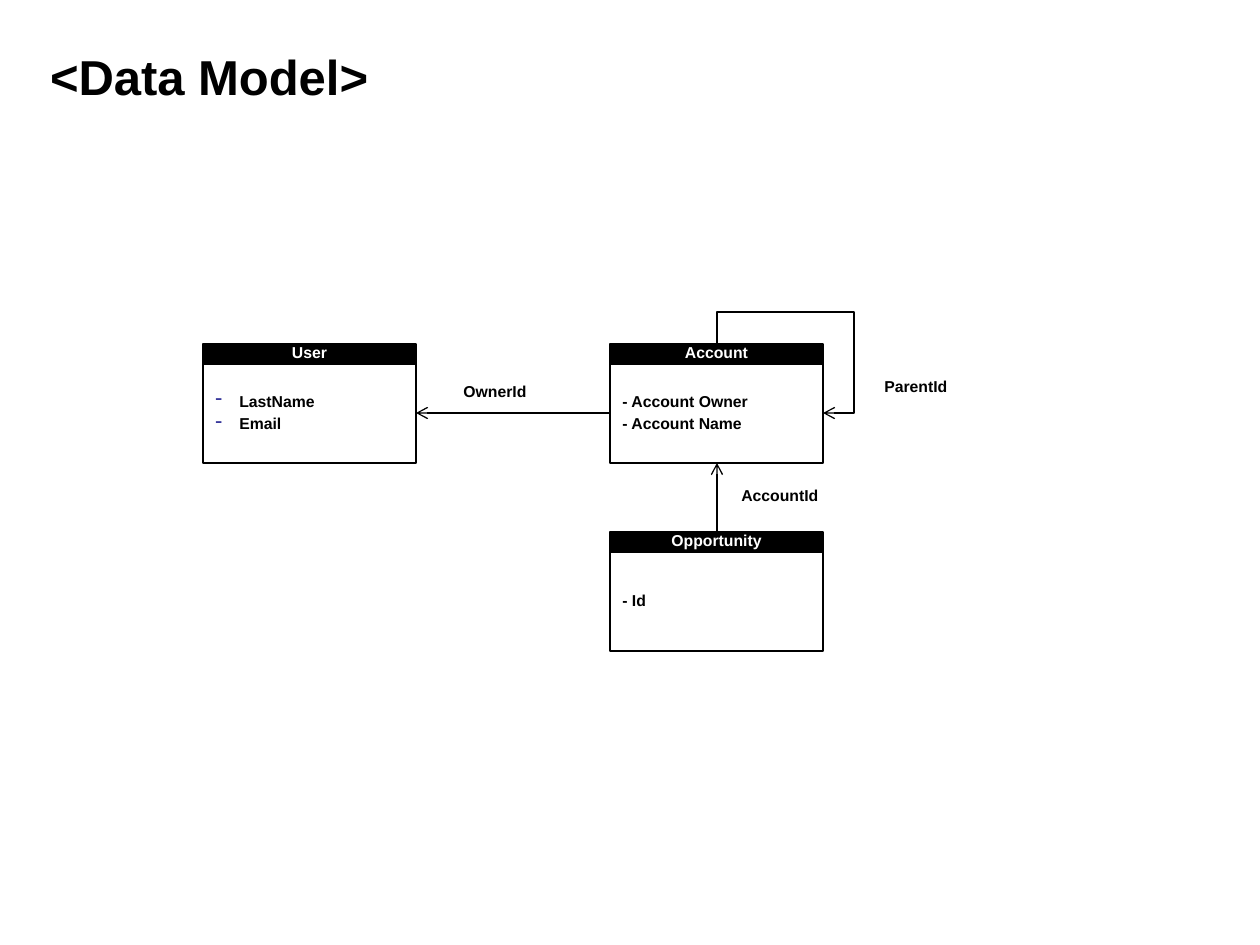
from lxml import etree
from pptx import Presentation
from pptx.dml.color import RGBColor
from pptx.enum.shapes import MSO_CONNECTOR, MSO_SHAPE
from pptx.enum.text import MSO_ANCHOR, MSO_AUTO_SIZE, PP_ALIGN
from pptx.oxml.ns import qn
from pptx.util import Pt

PX = 914400 / 126
BLACK = RGBColor(0x00, 0x00, 0x00)
WHITE = RGBColor(0xFF, 0xFF, 0xFF)
INDIGO = RGBColor(0x33, 0x33, 0x99)
LEFT, CENTER = PP_ALIGN.LEFT, PP_ALIGN.CENTER
MIDDLE = MSO_ANCHOR.MIDDLE
RECTANGLE = MSO_SHAPE.RECTANGLE
STRAIGHT, ELBOW = MSO_CONNECTOR.STRAIGHT, MSO_CONNECTOR.ELBOW

# Entity geometry in px
ENTITY_WIDTH, HEADER_HEIGHT, BODY_HEIGHT = 213, 20, 99
ENTITY_HEIGHT = HEADER_HEIGHT + BODY_HEIGHT
USER_LEFT, ACCOUNT_LEFT = 203, 610
TOP_ROW, BOTTOM_ROW = 344, 532


def emu(px):
    return round(px * PX)


def add_child(parent, tag, **attributes):
    return etree.SubElement(parent, qn(tag), {k: str(v) for k, v in attributes.items()})


def write(para, text, size=9, color=BLACK, align=LEFT, indent=0, bullet=None):
    span = para.add_run()
    span.text = text
    span.font.name = "Arial"
    span.font.size = Pt(size)
    span.font.bold = True
    span.font.color.rgb = color
    para.alignment = align
    properties = para._p.get_or_add_pPr()
    if indent:
        properties.set("marL", str(emu(indent)))
        properties.set("indent", str(-emu(indent)))
    if bullet:
        bullet_color = add_child(properties, "a:buClr")
        add_child(bullet_color, "a:srgbClr", val=INDIGO)
        add_child(properties, "a:buSzPct", val=130000)
        add_child(properties, "a:buChar", char=bullet)


class Diagram:
    def __init__(self, deck):
        self.page = deck.slides.add_slide(deck.slide_layouts[5])
        self.shapes = self.page.shapes

    def title(self, text, left, top, width, height):
        box = self.shapes.title
        box.left, box.top, box.width, box.height = map(emu, (left, top, width, height))
        frame = box.text_frame
        frame.auto_size = MSO_AUTO_SIZE.NONE
        frame.vertical_anchor = MIDDLE
        frame.margin_left = frame.margin_top = frame.margin_bottom = emu(8)
        write(frame.paragraphs[0], text, size=28, indent=5)

    def box(self, lines, left, top, width, height, fill=WHITE, line=BLACK,
            line_width=1, **text_format):
        box = self.shapes.add_shape(RECTANGLE, *map(emu, (left, top, width, height)))
        box.shadow.inherit = False
        box.fill.solid()
        box.fill.fore_color.rgb = fill
        box.line.color.rgb = line
        box.line.width = Pt(line_width)
        frame = box.text_frame
        frame.word_wrap = False
        frame.vertical_anchor = MIDDLE
        for number, text in enumerate(lines):
            para = frame.add_paragraph() if number else frame.paragraphs[0]
            para.line_spacing = 0.85
            para.space_before = Pt(3.6)
            write(para, text, **text_format)

    def entity(self, name, fields, left, top, **text_format):
        self.box([name], left, top, ENTITY_WIDTH, HEADER_HEIGHT, fill=BLACK,
                 color=WHITE, align=CENTER)
        self.box(fields, left, top + HEADER_HEIGHT, ENTITY_WIDTH, BODY_HEIGHT,
                 **text_format)

    def label(self, text, left, top, width, height):
        self.box([text], left, top, width, height, line=WHITE, line_width=2)

    def arrow(self, start, end, kind=STRAIGHT):
        connector = self.shapes.add_connector(kind, *map(emu, (*start, *end)))
        connector.line.color.rgb = BLACK
        connector.line.width = Pt(0.75)
        add_child(connector.line._get_or_add_ln(), "a:tailEnd", type="arrow")
        add_child(connector._element.spPr, "a:effectLst")
        return connector

    def loop(self, start, end, rise, reach):
        """Leaves start upwards, turns right past end and comes back to it."""
        across, down = end[0] - start[0], end[1] - start[1]
        middle_x, middle_y = start[0] + across / 2, start[1] + down / 2
        # The frame is turned by 270 degrees, so its sides are swapped
        connector = self.arrow((middle_x + down / 2, middle_y - across / 2),
                               (middle_x - down / 2, middle_y + across / 2), ELBOW)
        properties = connector._element.spPr
        properties.find(qn("a:xfrm")).set("rot", "16200000")
        geometry = properties.find(qn("a:prstGeom"))
        geometry.set("prst", "bentConnector4")
        guides = geometry.find(qn("a:avLst"))
        if guides is None:
            guides = add_child(geometry, "a:avLst")
        for name, share in (("adj1", -rise / down), ("adj2", 1 + reach / across)):
            add_child(guides, "a:gd", name=name, fmla=f"val {round(share * 100000)}")


def main():
    deck = Presentation()
    deck.slide_width, deck.slide_height = emu(1260), emu(945)
    diagram = Diagram(deck)
    diagram.title("<Data Model>", 42, 0, 1134, 151)

    # Relation labels
    diagram.label("OwnerId", 451, 373, 110, 39)
    diagram.label("ParentId", 872, 363, 189, 49)
    diagram.label("AccountId", 729, 472, 189, 49)

    # Entities
    diagram.entity("Account", ["- Account Owner", "- Account Name"], ACCOUNT_LEFT, TOP_ROW)
    diagram.entity("Opportunity", ["- Id"], ACCOUNT_LEFT, BOTTOM_ROW)
    diagram.entity("User", ["LastName", "Email"], USER_LEFT, TOP_ROW, indent=24, bullet="-")

    # Relations
    center = ACCOUNT_LEFT + ENTITY_WIDTH // 2 + 1
    body_middle = TOP_ROW + HEADER_HEIGHT + BODY_HEIGHT // 2
    diagram.loop((center, TOP_ROW), (ACCOUNT_LEFT + ENTITY_WIDTH, body_middle), 32, 31)
    diagram.arrow((center, BOTTOM_ROW), (center, TOP_ROW + ENTITY_HEIGHT))
    diagram.arrow((ACCOUNT_LEFT, body_middle), (USER_LEFT + ENTITY_WIDTH, body_middle))

    deck.save("out.pptx")


if __name__ == "__main__":
    main()
